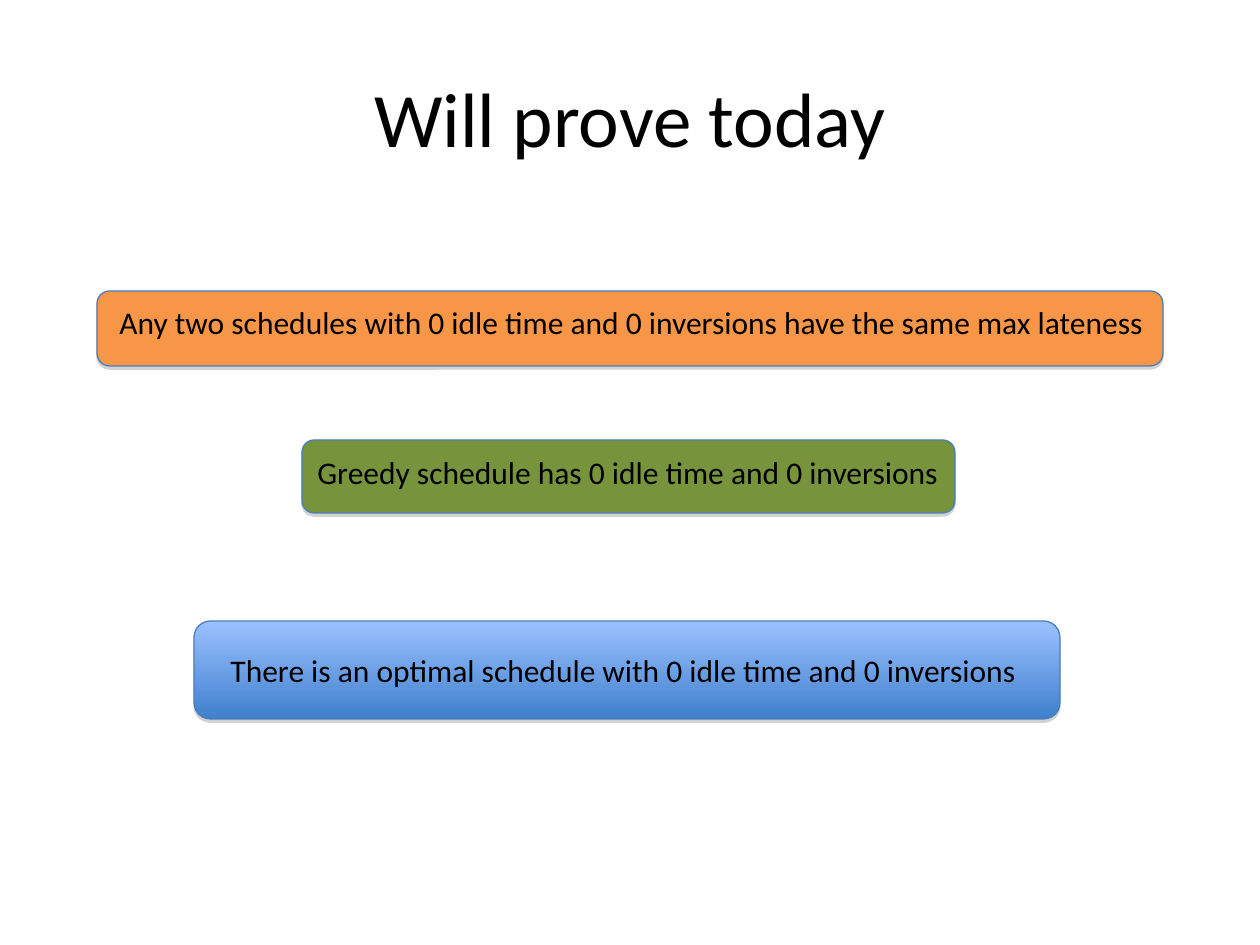
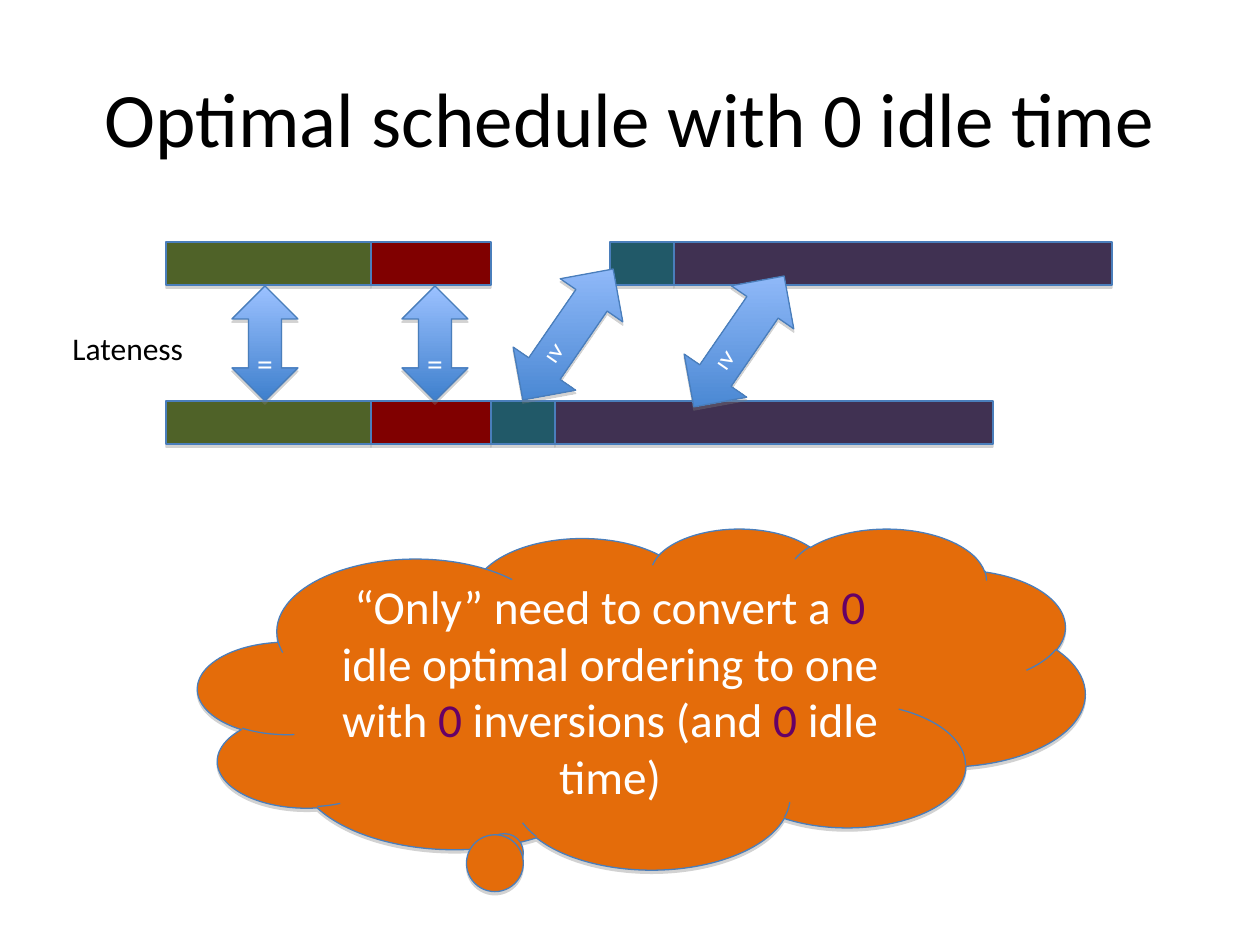
import pptx
import pptx.dml.color
import pptx.enum.shapes
import pptx.enum.text
import pptx.oxml
import pptx.oxml.ns
import pptx.util

PX = 914400 / 126
FONT = "Calibri"
BLACK, WHITE, OUTLINE, EMPHASIS = "000000", "FFFFFF", "4A7EBB", "660066"
BLUE_FADE = ("9BC1FF", "3F80CD")
TITLE_BOX = (63, 38, 1134, 157)
SHADOW = (
    f'<a:outerShdw {pptx.oxml.ns.nsdecls("a")} blurRad="0" dist="23000" dir="5400000" rotWithShape="0">'
    '<a:srgbClr val="808080"><a:alpha val="35000"/></a:srgbClr></a:outerShdw>'
)

rgb = pptx.dml.color.RGBColor.from_string
Shape = pptx.enum.shapes.MSO_SHAPE
Align = pptx.enum.text.PP_ALIGN
Anchor = pptx.enum.text.MSO_ANCHOR


def place(slide, box, kind=None, fill=None, fade_angle=90):
    """Add an outlined, shadowed shape, or a text box if no kind is given.

    A fill of two colours is a gradient, its angle measured clockwise.
    """
    emu = [round(length * PX) for length in box]
    if kind is None:
        return slide.shapes.add_textbox(*emu)
    shape = slide.shapes.add_shape(kind, *emu)
    if isinstance(fill, tuple):
        shape.fill.gradient()
        shape.fill.gradient_angle = 360 - fade_angle
        for stop, colour in zip(shape.fill.gradient_stops, fill):
            stop.color.rgb = rgb(colour)
    else:
        shape.fill.solid()
        shape.fill.fore_color.rgb = rgb(fill)
    shape.line.color.rgb = rgb(OUTLINE)
    shape.line.width = pptx.util.Pt(0.75)
    shape.shadow.inherit = False
    effects = shape._element.spPr.find(pptx.oxml.ns.qn("a:effectLst"))
    effects.append(pptx.oxml.parse_xml(SHADOW))
    return shape


def write(shape, pieces, size=18, align=Align.CENTER, anchor=Anchor.MIDDLE, wrap=True):
    """Fill the shape with one paragraph of (text, colour) pieces."""
    frame = shape.text_frame
    frame.word_wrap = wrap
    frame.vertical_anchor = anchor
    paragraph = frame.paragraphs[0]
    paragraph.alignment = align
    for text, colour in pieces:
        run = paragraph.add_run()
        run.text = text
        run.font.name = FONT
        run.font.size = pptx.util.Pt(size)
        run.font.color.rgb = rgb(colour)


label_style = dict(align=Align.LEFT, anchor=Anchor.TOP, wrap=False)

deck = pptx.Presentation()
deck.slide_width = round(1260 * PX)
deck.slide_height = round(945 * PX)
blank = deck.slide_layouts[6]

# Claims to prove
claims_slide = deck.slides.add_slide(blank)
write(place(claims_slide, TITLE_BOX), [("Will prove today", BLACK)], 44)

claims = [
    ("Any two schedules with 0 idle time and 0 inversions have the same max lateness",
     (97, 291, 1066, 75), "F79646", (107, 297, 1053, 50)),
    ("Greedy schedule has 0 idle time and 0 inversions",
     (302, 440, 653, 73), "77933C", (305, 447, 648, 50)),
    ("There is an optimal schedule with 0 idle time and 0 inversions",
     (194, 621, 866, 98), BLUE_FADE, (218, 645, 813, 50)),
]
for claim, panel_box, fill, claim_box in claims:
    place(claims_slide, panel_box, Shape.ROUNDED_RECTANGLE, fill)
    write(place(claims_slide, claim_box), [(claim, BLACK)], **label_style)

# Schedules with and without idle time
schedule_slide = deck.slides.add_slide(blank)
write(place(schedule_slide, TITLE_BOX), [("Optimal schedule with 0 idle time", BLACK)], 44)

jobs = [(205, "4F6228"), (120, "800000"), (64, "215968"), (438, "403152")]
idle_before_job = 2
for top, idle in [(242, 119), (401, 0)]:
    left = 166
    for number, (duration, colour) in enumerate(jobs):
        if number == idle_before_job:
            left += idle
        place(schedule_slide, (left, top, duration, 43), Shape.RECTANGLE, colour)
        left += duration

comparisons = [
    ("=", (232, 286, 66, 115), 0, 90),
    ("=", (402, 286, 66, 115), 0, 90),
    ("≥", (530, 255, 76, 159), 34.6, 55),
    ("≥", (701, 262, 76, 159), 34.6, 55),
]
for sign, box, tilt, fade_angle in comparisons:
    arrow = place(schedule_slide, box, Shape.UP_DOWN_ARROW, BLUE_FADE, fade_angle)
    arrow.rotation = tilt
    margins = arrow.text_frame
    margins.margin_left = margins.margin_right = margins.margin_bottom = 0
    margins.margin_top = round(38 * PX)
    write(arrow, [(sign, WHITE)])

write(place(schedule_slide, (60, 323, 136, 50)), [("Lateness", BLACK)], **label_style)

remark = place(schedule_slide, (198, 528, 887, 341), Shape.CLOUD_CALLOUT, "E46C0A")
remark.adjustments[0] = -0.158
remark.adjustments[1] = 0.462
write(remark, [
    ("“Only” need to convert a ", WHITE),
    ("0", EMPHASIS),
    (" idle optimal ordering to one with ", WHITE),
    ("0", EMPHASIS),
    (" inversions (and ", WHITE),
    ("0", EMPHASIS),
    (" idle time)", WHITE),
], 27)

deck.save("out.pptx")
